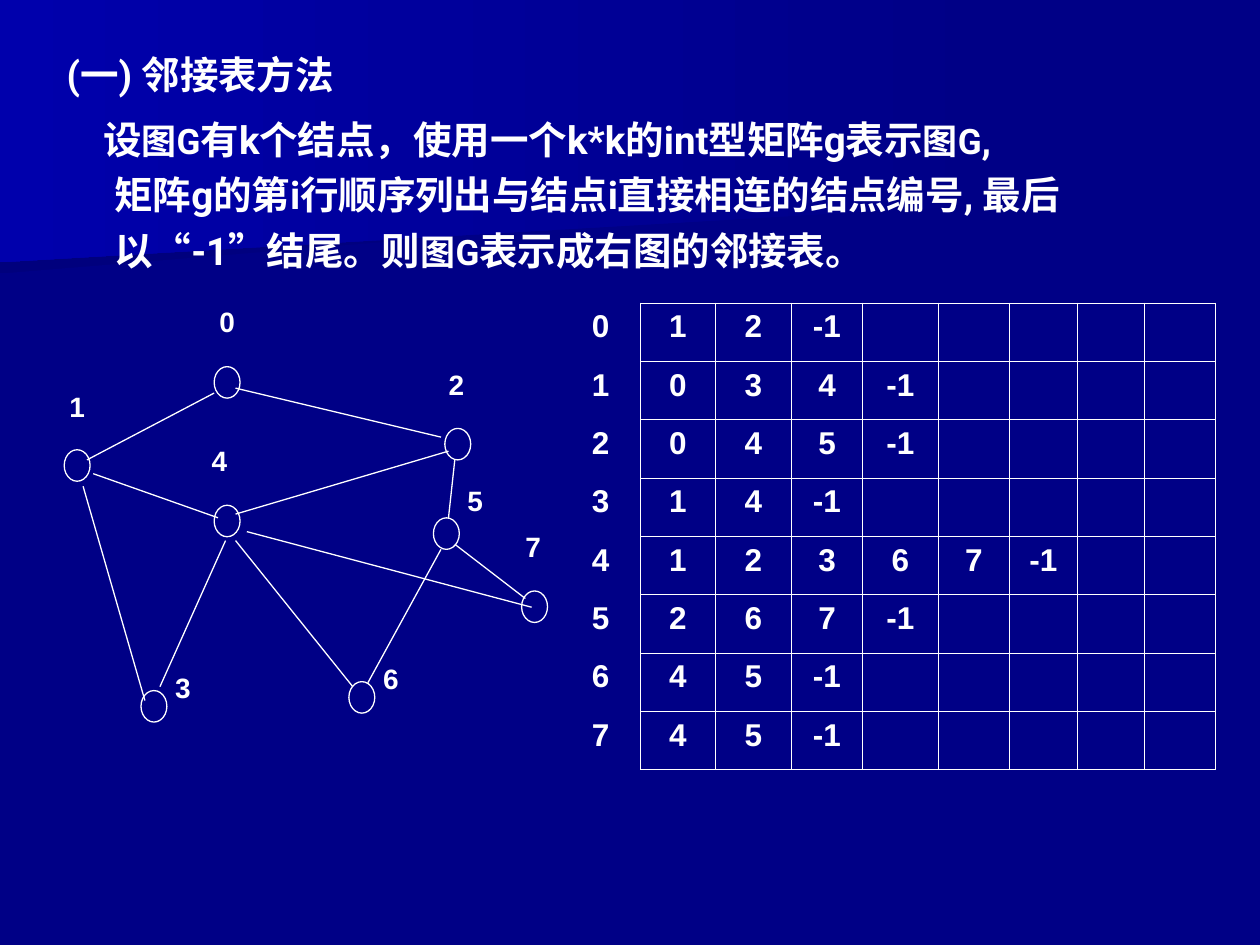
import pptx
import pptx.util
import pptx.dml.color
import pptx.enum.lang
import pptx.enum.shapes
import pptx.enum.text
import pptx.oxml.ns
import lxml.etree

Pt = pptx.util.Pt
COLORS = {"back": "000086", "dark": "00007D", "glow": "0000AC", "ink": "FFFFFF"}

# Backdrop: outline points and the colour at the left end
BANDS = [
    ([(560.2, 110.2), (0, 156.2), (0, 72.7), (560.9, 72.7), (560.2, 92.2)], "dark"),
    ([(570.2, 116.6), (0, 149.8), (0, 0), (570.2, 0)], "glow"),
]

# Each paragraph: first-line indent, then (text, size) runs
INTRO = [
    (-27.36, [("(一) 邻接表方法", 22)]),
    (-6.5, [
        ("设", 22), ("图G", 20),
        ("有k个结点，使用一个k*k的int型矩阵g表示", 22), ("图G", 20),
        (",", 22), ("\v", 22),
        ("矩阵g的第i行顺序列出与结点i直接相连的结点编号, 最后以“-1”结尾。则", 22),
        ("图G", 20), ("表示成右图的邻接表。", 22),
    ]),
]

# Node number: (left, top) of its circle, (left, top) of its label
NODES = {
    0: ((122.4, 209.5), (124.6, 173.5)),
    1: ((36.7, 257), (38.9, 221.8)),
    2: ((254.2, 244.8), (255.6, 209.5)),
    3: ((80.6, 394.6), (99.4, 382.3)),
    4: ((122.4, 288.7), (120.2, 252.7)),
    5: ((247.7, 295.9), (266.4, 275.8)),
    6: ((199.4, 389.5), (218.2, 377.3)),
    7: ((298.1, 337.7), (299.5, 301.7)),
}
EDGES = [
    (122.4, 224.6, 49.7, 262.8),
    (134.6, 221.8, 252, 249.8),
    (53.3, 270.7, 124.6, 295.9),
    (47.5, 277.9, 82.8, 400.3),
    (91.4, 392.4, 128.9, 308.9),
    (134.6, 293.8, 256.3, 257.8),
    (141.1, 303.8, 303.8, 347),
    (134.6, 308.9, 201.6, 392.4),
    (252, 313.9, 210.2, 390.2),
    (259.9, 262.8, 256.3, 295.9),
    (259.9, 311, 300.2, 342),
]

LINKS = [
    [1, 2], [0, 3, 4], [0, 4, 5], [1, 4],
    [1, 2, 3, 6, 7], [2, 6, 7], [4, 5], [4, 5],
]
WIDTHS = [45.6, 42.9, 43.4, 40.6, 43.4, 40.6, 38.8, 38.3, 40.6]
ROW = 33.36


def rgb(name):
    return pptx.dml.color.RGBColor.from_string(COLORS[name])


def style(font, face, size):
    font.name, font.size, font.bold = face, Pt(size), True
    font.color.rgb = rgb("ink")


def add_box(slide, left, top, wide, high, side, edge):
    frame = slide.shapes.add_textbox(Pt(left), Pt(top), Pt(wide), Pt(high)).text_frame
    frame.word_wrap = True
    frame.margin_left = frame.margin_right = Pt(side)
    frame.margin_top = frame.margin_bottom = Pt(edge)
    return frame


def add_bands(slide):
    for points, color in BANDS:
        spots = [(Pt(x), Pt(y)) for x, y in points]
        pen = slide.shapes.build_freeform(*spots[0])
        pen.add_line_segments(spots[1:])
        band = pen.convert_to_shape()
        band.shadow.inherit = False
        band.line.fill.background()
        band.fill.gradient()
        band.fill.gradient_angle = 180
        for stop, name in zip(band.fill.gradient_stops, ("back", color)):
            stop.color.rgb = rgb(name)


def add_intro(slide):
    frame = add_box(slide, 31, 20.2, 664.6, 141.8, 7.2, 3.6)
    for i, (indent, runs) in enumerate(INTRO):
        para = frame.add_paragraph() if i else frame.paragraphs[0]
        para.line_spacing = 1.2
        para.space_before = Pt(5.5 if i else 0)
        props = para._p.get_or_add_pPr()
        props.set("marL", str(Pt(27.36)))
        props.set("indent", str(Pt(indent)))
        for text, size in runs:
            if text == "\v":
                para.add_line_break()
                continue
            run = para.add_run()
            run.text = text
            style(run.font, "Roboto", size)
            run.font.language_id = pptx.enum.lang.MSO_LANGUAGE_ID.SIMPLIFIED_CHINESE


def add_graph(slide):
    for num, (spot, tag) in NODES.items():
        node = slide.shapes.add_shape(
            pptx.enum.shapes.MSO_SHAPE.OVAL, *map(Pt, spot), Pt(14.8), Pt(18))
        node.shadow.inherit = False
        node.fill.background()
        node.line.color.rgb = rgb("ink")
        node.line.width = Pt(0.75)
        para = add_box(slide, *tag, 37.4, 41, 0.72, 0.72).paragraphs[0]
        para.text = str(num)
        style(para.runs[0].font, "Arial", 16)
    for ends in EDGES:
        edge = slide.shapes.add_connector(
            pptx.enum.shapes.MSO_CONNECTOR.STRAIGHT, *map(Pt, ends))
        edge.line.color.rgb = rgb("ink")
        edge.line.width = Pt(0.75)
        lxml.etree.SubElement(
            edge._element.spPr, pptx.oxml.ns.qn("a:effectLst"))


def set_border(cell, shown):
    """Draw the listed sides (of L, R, T, B) and clear the others."""
    qn, sub = pptx.oxml.ns.qn, lxml.etree.SubElement
    props = cell._tc.get_or_add_tcPr()
    for side in "LRTB":
        line = sub(props, qn("a:ln" + side), w=str(Pt(0.45)))
        if side in shown:
            fill = sub(line, qn("a:solidFill"))
            sub(fill, qn("a:srgbClr"), val=COLORS["ink"])
        else:
            sub(line, qn("a:noFill"))


def add_lists(slide):
    table = slide.shapes.add_table(
        len(LINKS), len(WIDTHS), Pt(320.4), Pt(173.2),
        Pt(sum(WIDTHS)), Pt(ROW * len(LINKS))).table
    table.first_row = table.horz_banding = False
    for col, wide in zip(table.columns, WIDTHS):
        col.width = Pt(wide)
    for r, links in enumerate(LINKS):
        table.rows[r].height = Pt(ROW)
        texts = [r, *links, -1]
        for c in range(len(WIDTHS)):
            cell = table.cell(r, c)
            set_border(cell, "LRTB" if c else "R")
            cell.fill.background()
            if c < len(texts):
                para = cell.text_frame.paragraphs[0]
                para.text = str(texts[c])
                para.alignment = pptx.enum.text.PP_ALIGN.CENTER
                style(para.runs[0].font, "Arial", 18)


def main():
    deck = pptx.Presentation()
    deck.slide_width, deck.slide_height = Pt(720), Pt(540)
    slide = deck.slides.add_slide(deck.slide_layouts[6])
    slide.background.fill.solid()
    slide.background.fill.fore_color.rgb = rgb("back")
    add_bands(slide)
    add_intro(slide)
    add_graph(slide)
    add_lists(slide)
    deck.save("out.pptx")


if __name__ == "__main__":
    main()
